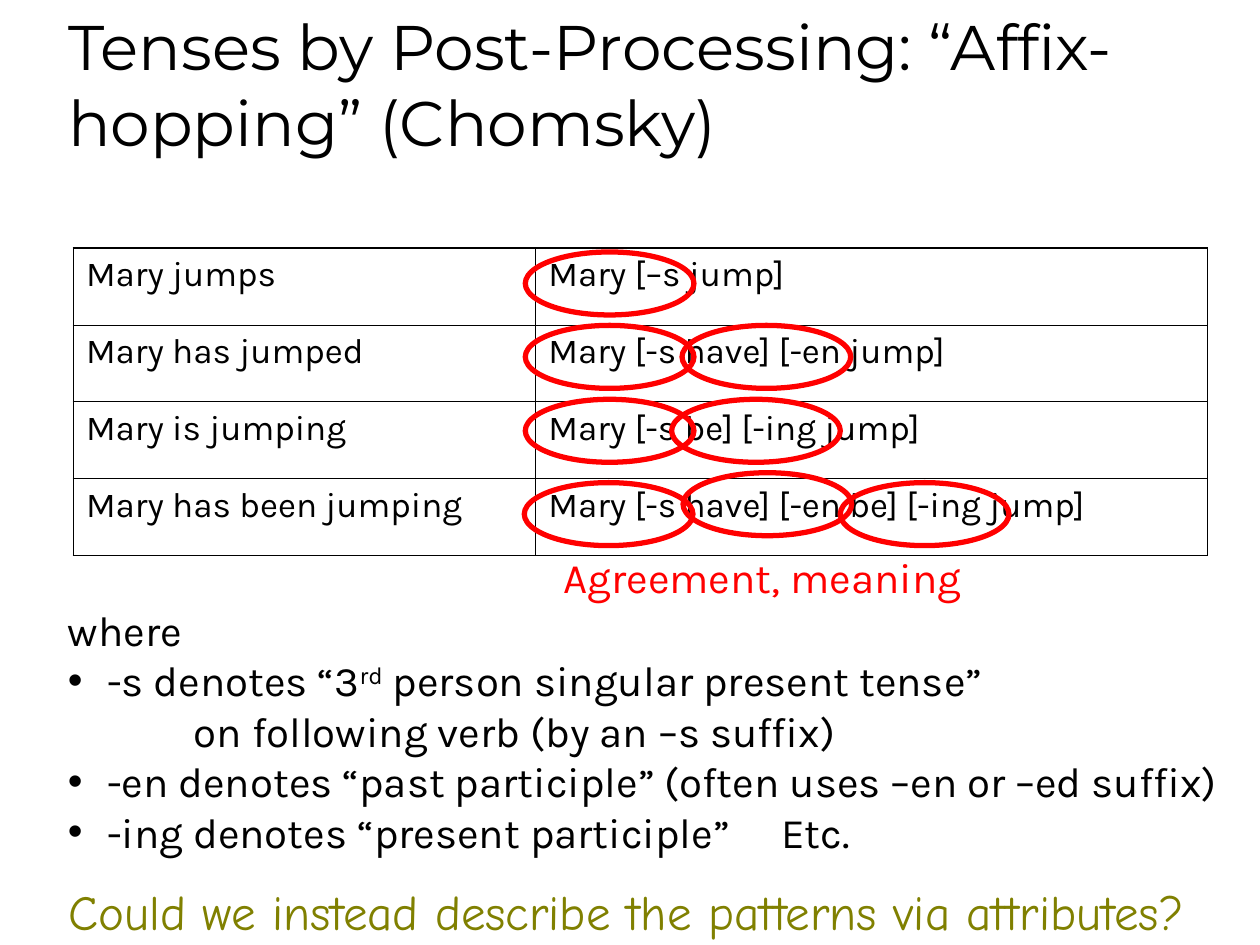
from dataclasses import dataclass

from lxml.etree import SubElement
from pptx import Presentation
from pptx.dml.color import RGBColor
from pptx.enum.shapes import MSO_SHAPE
from pptx.enum.text import MSO_ANCHOR, MSO_AUTO_SIZE, PP_ALIGN
from pptx.oxml.ns import qn
from pptx.util import Cm, Pt


@dataclass(frozen=True)
class Theme:
    title_font: str = "Montserrat"
    body_font: str = "Karla"
    question_font: str = "Comic Neue"
    title_size: float = 36
    cell_size: float = 20
    body_size: float = 24
    question_size: float = 28
    black: str = "000000"
    red: str = "FF0000"
    olive: str = "808000"
    outer_line: float = 1.08
    inner_line: float = 0.45
    ring_line: float = 3


class SlideBuilder:
    def __init__(self, s, theme):
        self.s = s
        self.theme = theme

    def format(self, p, font, size, color):
        for r in p.runs:
            r.font.name = font
            r.font.size = Pt(size)
            r.font.color.rgb = RGBColor.from_string(color)

    def title(self, text, box):
        t = self.theme
        sp = self.s.shapes.title
        sp.left, sp.top, sp.width, sp.height = (Cm(v) for v in box)
        tf = sp.text_frame
        tf.text = text
        tf.auto_size = MSO_AUTO_SIZE.NONE
        tf.vertical_anchor = MSO_ANCHOR.BOTTOM
        tf.paragraphs[0].alignment = PP_ALIGN.LEFT
        self.format(tf.paragraphs[0], t.title_font, t.title_size, t.black)

    def text(self, shapes, text, box, font, size, color, align=PP_ALIGN.LEFT):
        tf = shapes.add_textbox(*(Cm(v) for v in box)).text_frame
        tf.word_wrap = True
        tf.text = text
        tf.paragraphs[0].alignment = align
        self.format(tf.paragraphs[0], font, size, color)
        return tf

    def bullet(self, tf, parts, tab, hang=0.79):
        t = self.theme
        p = tf.add_paragraph()
        pPr = p._p.get_or_add_pPr()
        pPr.set("marL", str(Cm(hang)))
        pPr.set("indent", str(-Cm(hang)))
        color = SubElement(pPr, qn("a:buClr"))
        SubElement(color, qn("a:srgbClr"), val=t.black)
        SubElement(pPr, qn("a:buFont"), typeface="Arial")
        SubElement(pPr, qn("a:buChar"), char="•")
        tabs = SubElement(pPr, qn("a:tabLst"))
        SubElement(tabs, qn("a:tab"), pos=str(Cm(tab)), algn="l")
        for part in parts:
            if part == "\n":
                p.add_line_break()
            else:
                p.add_run().text = part
        self.format(p, t.body_font, t.body_size, t.black)
        return p

    def border(self, cell, side, width):
        tcPr = cell._tc.get_or_add_tcPr()
        ln = SubElement(tcPr, qn(f"a:ln{side}"), w=str(Pt(width)))
        fill = SubElement(ln, qn("a:solidFill"))
        SubElement(fill, qn("a:srgbClr"), val=self.theme.black)

    def table(self, rows, box, widths):
        t = self.theme
        n, m = len(rows), len(widths)
        table = self.s.shapes.add_table(n, m, *(Cm(v) for v in box)).table
        table.first_row = table.horz_banding = False
        for col, width in zip(table.columns, widths):
            col.width = Cm(width)
        for i, row in enumerate(rows):
            for j, text in enumerate(row):
                cell = table.cell(i, j)
                cell.text = text
                self.format(cell.text_frame.paragraphs[0], t.body_font, t.cell_size, t.black)
                edges = {"L": j == 0, "R": j == m - 1, "T": i == 0, "B": i == n - 1}
                for side, outer in edges.items():
                    self.border(cell, side, t.outer_line if outer else t.inner_line)
                cell.fill.background()

    def ring(self, shapes, x, y, w=3.4, h=1.27):
        sp = shapes.add_shape(MSO_SHAPE.OVAL, Cm(x), Cm(y), Cm(w), Cm(h))
        sp.shadow.inherit = False
        sp.fill.background()
        sp.line.color.rgb = RGBColor.from_string(self.theme.red)
        sp.line.width = Pt(self.theme.ring_line)


def main():
    prs = Presentation()
    prs.slide_width, prs.slide_height = Cm(25.4), Cm(19.05)
    s = prs.slides.add_slide(prs.slide_layouts[5])
    t = Theme()
    b = SlideBuilder(s, t)

    b.title("Tenses by Post-Processing: “Affix-hopping” (Chomsky)", (1.12, 0.15, 21.6, 3.18))
    b.table(
        [
            ("Mary jumps", "Mary [–s jump]"),
            ("Mary has jumped", "Mary [-s have] [-en jump]"),
            ("Mary is jumping", "Mary [-s be] [-ing jump]"),
            ("Mary has been jumping", "Mary [-s have] [-en be] [-ing jump]"),
        ],
        (1.48, 5, 22.86, 6.2),
        (9.32, 13.54),
    )

    tf = b.text(s.shapes, "where", (1.12, 12.06, 23.85, 6.35), t.body_font, t.body_size, t.black)
    p = b.bullet(
        tf,
        ["-s denotes “3", "rd", " person singular present tense”", "\n",
         "\ton following verb (by an –s suffix)"],
        2.54,
    )
    p.runs[1].font._element.set("baseline", "30000")
    b.bullet(tf, ["-en denotes “past participle” (often uses –en or –ed suffix)"], 2.54)
    b.bullet(tf, ["-ing denotes “present participle”\tEtc."], 14.38)

    marks = s.shapes.add_group_shape().shapes
    ring_rows = {
        5.08: [10.59],
        6.56: [10.59, 13.75],
        8.05: [10.59, 13.54],
        9.73: [10.57, 16.94],
        9.53: [13.77],
    }
    for y, xs in ring_rows.items():
        for x in xs:
            b.ring(marks, x, y)
    b.text(marks, "Agreement, meaning", (10.9, 11, 8.94, 1.27),
           t.body_font, t.body_size, t.red, PP_ALIGN.CENTER)

    b.text(s.shapes, "Could we instead describe the patterns via attributes?",
           (1.14, 17.65, 23.09, 1.45), t.question_font, t.question_size, t.olive)
    prs.save("out.pptx")


if __name__ == "__main__":
    main()
